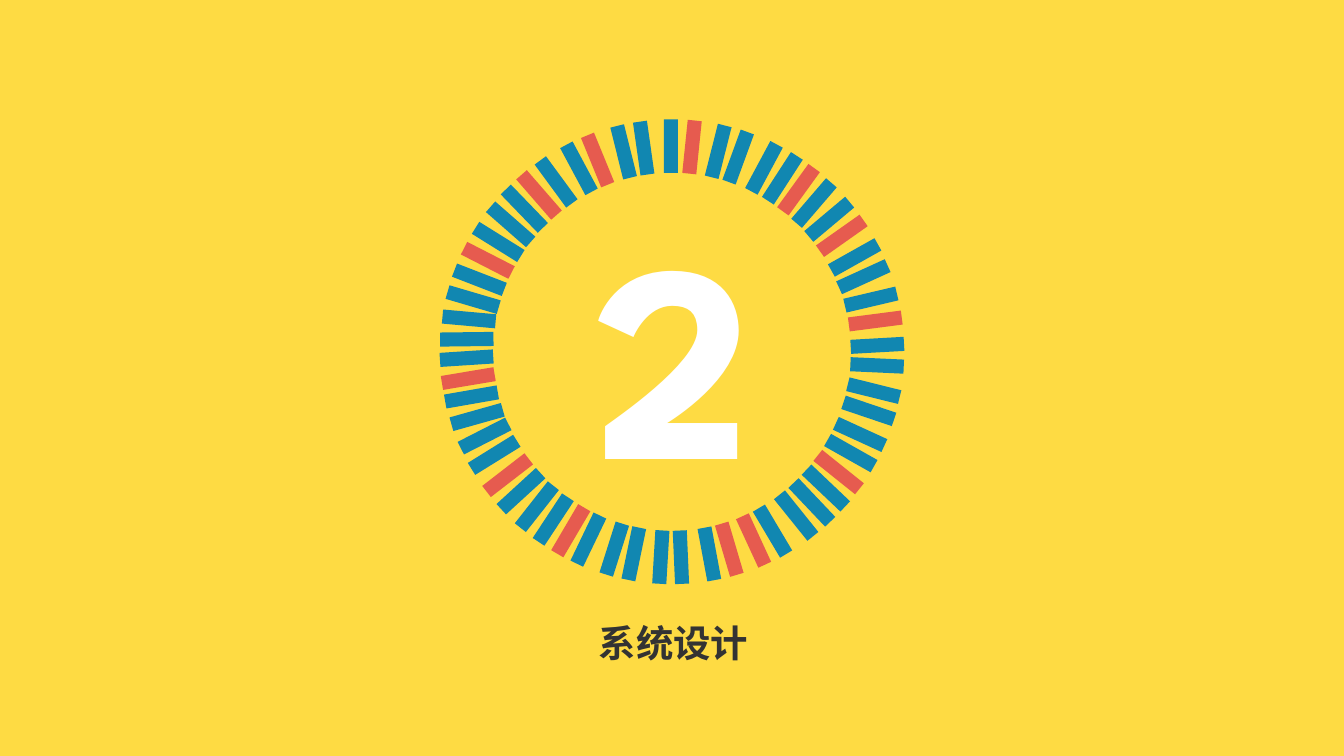
from math import cos, radians, sin

from pptx import Presentation
from pptx.dml.color import RGBColor as RGB
from pptx.enum.shapes import MSO_SHAPE as Shape
from pptx.enum.text import MSO_ANCHOR as Anchor, MSO_AUTO_SIZE as Fit, PP_ALIGN as Align
from pptx.util import Inches, Pt

"""Section slide: a ring of coloured bars around a chapter number."""

YELLOW = RGB(0xFE, 0xDB, 0x43)
BLUE = RGB(0x11, 0x87, 0xB1)
RED = RGB(0xE6, 0x5B, 0x4F)
WHITE = RGB(0xFF, 0xFF, 0xFF)
DARK = RGB(0x33, 0x33, 0x33)
FONT = "League Spartan"

NUMBER = "2"
TITLE = "系统设计"
MID_X, MID_Y, RADIUS = 6.67, 3.49, 2.04
BAR_W, BAR_H = 0.14, 0.53

TILTS = [0, 5.9, 14.2, 20.1, 28.2, 32.9, 35.9, 40.7,
         50, 54.8, 60.7, 65.5, 76.8, 82.6, 83, 88.8]
QUARTERS = [
    dict(right=1, up=1, turn=0, reds={1, 6, 9, 13},
         angles=[-0.3, 5.6, 13, 18.8, 26.6, 32.5, 38, 43.7,
                 49.9, 55.7, 62.7, 68.6, 75.3, 81.4]),
    dict(right=-1, up=1, turn=8.1, reds={2, 5, 9},
         angles=[7.9, 13.6, 21.2, 26.9, 34.3, 40.3, 45.9, 51.7,
                 57.7, 63.6, 69.5, 75.3, 80.8, 86.5]),
    dict(right=1, up=-1, turn=10.6, reds={1, 2, 7},
         angles=[10.5, 16.2, 23.4, 29.3, 37.2, 42.9, 48.5, 54.2,
                 60.5, 66.3, 73.3, 79.1, 86.2, 91.8]),
    dict(right=-1, up=-1, turn=-2.5, reds={5, 9, 14},
         angles=[-2.5, 3.1, 10.7, 16.3, 24, 29.5, 35.3, 41.1,
                 47.3, 53.1, 59.9, 65.8, 71.5, 77.3, 82.5, 88.2]),
]


def add_bar(ring, x, y, tilt, color):
    bar = ring.shapes.add_shape(
        Shape.RECTANGLE, Inches(x - BAR_W / 2), Inches(y - BAR_H / 2),
        Inches(BAR_W), Inches(BAR_H))
    bar.rotation = tilt % 360
    bar.shadow.inherit = False
    bar.fill.solid()
    bar.fill.fore_color.rgb = color
    bar.line.fill.background()


def set_text(box, text, size, color, wrap):
    frame = box.text_frame
    frame.text = text
    frame.word_wrap = wrap
    frame.auto_size = Fit.NONE
    frame.vertical_anchor = Anchor.TOP
    para = frame.paragraphs[0]
    para.alignment = Align.CENTER
    font = para.font
    font.name, font.size, font.bold = FONT, Pt(size), True
    font.color.rgb = color
    return para


deck = Presentation()
deck.slide_width, deck.slide_height = Inches(13.34), Inches(7.5)
slide = deck.slides.add_slide(deck.slide_layouts[5])
slide.background.fill.solid()
slide.background.fill.fore_color.rgb = YELLOW

ring = slide.shapes.add_group_shape()
for part in QUARTERS:
    right, up = part["right"], part["up"]
    for i, (angle, tilt) in enumerate(zip(part["angles"], TILTS)):
        x = MID_X + right * RADIUS * sin(radians(angle))
        y = MID_Y - up * RADIUS * cos(radians(angle))
        color = RED if i in part["reds"] else BLUE
        add_bar(ring, x, y, right * up * (tilt + part["turn"]), color)

number = ring.shapes.add_textbox(Inches(5.81), Inches(1.73), Inches(1.77), Inches(3.47))
set_text(number, NUMBER, 200, WHITE, False)

title = slide.shapes.title
title.left, title.top = Inches(5.4), Inches(6.06)
title.width, title.height = Inches(2.57), Inches(0.56)
set_text(title, TITLE, 26.7, DARK, True).line_spacing = 1.1

deck.save("out.pptx")
